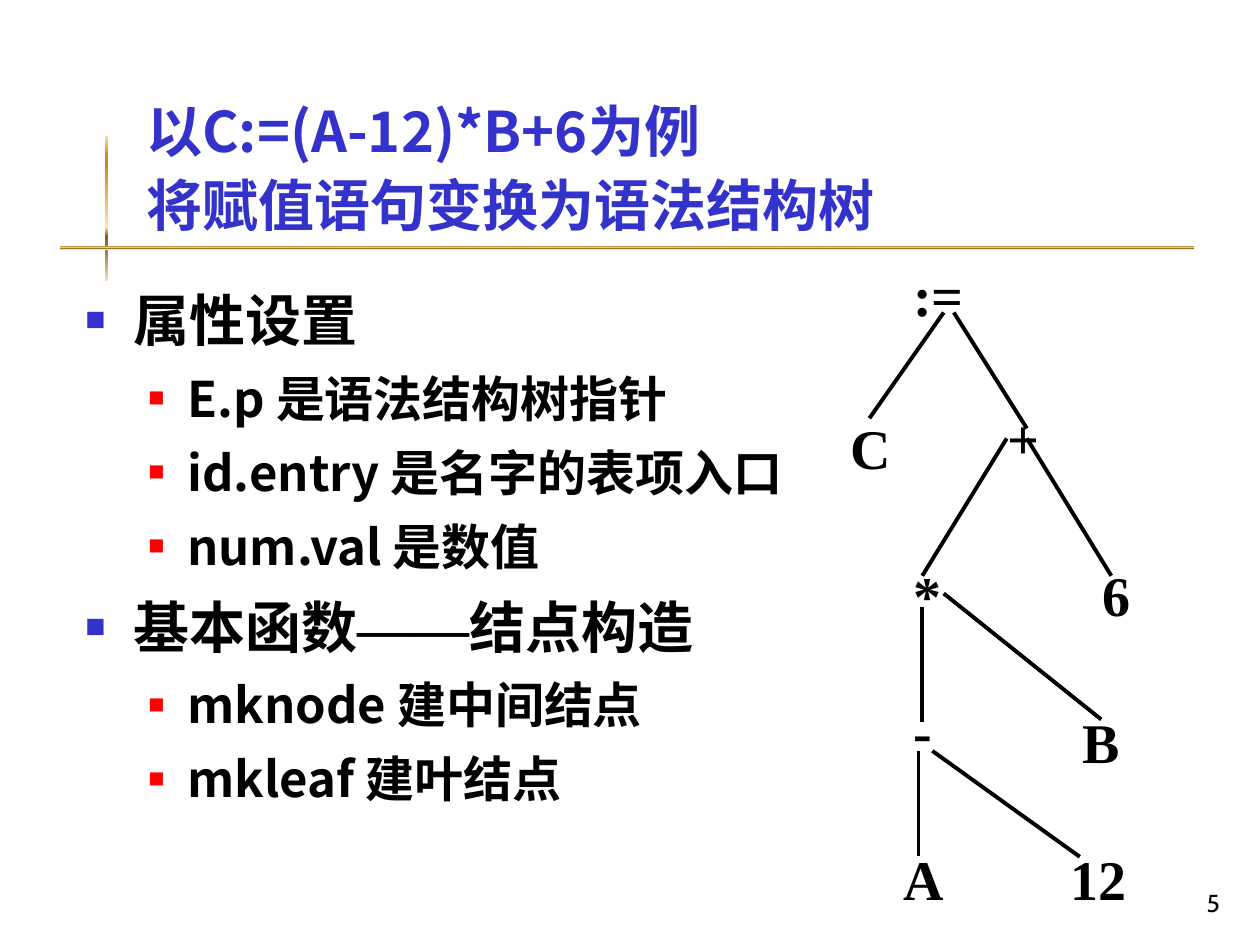
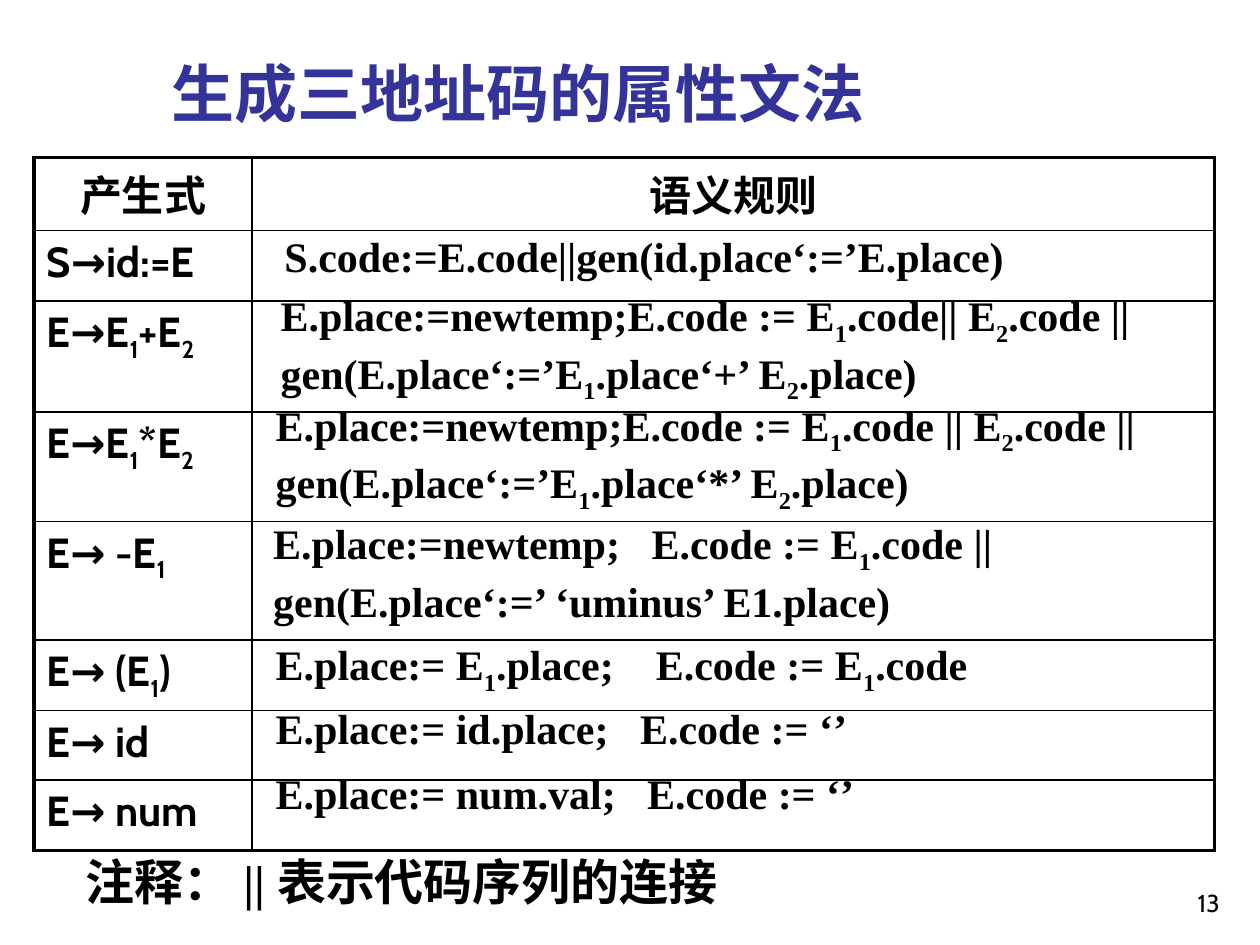
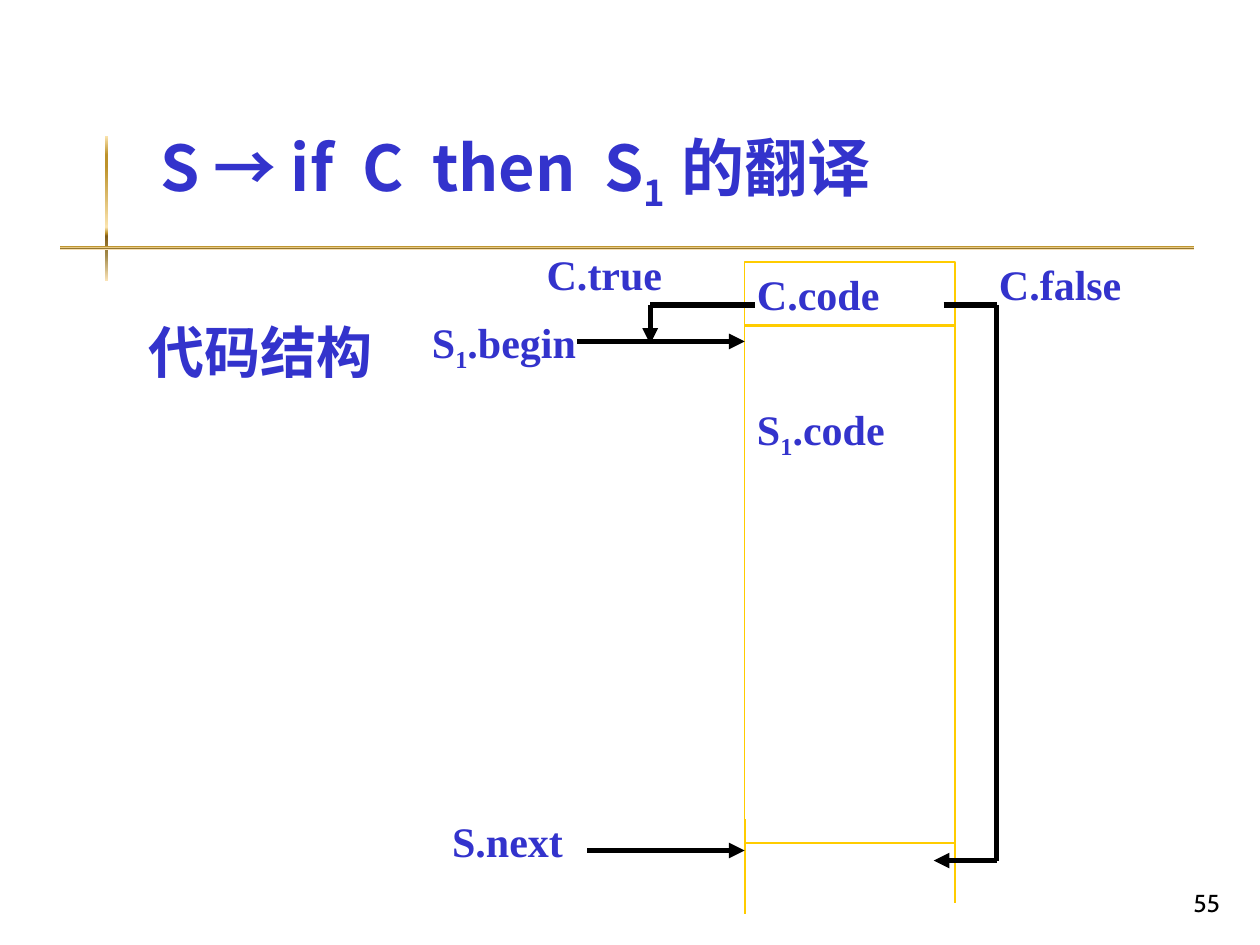
from lxml import etree
from pptx import Presentation
from pptx.dml.color import RGBColor
from pptx.enum.shapes import MSO_CONNECTOR, MSO_SHAPE
from pptx.enum.text import MSO_ANCHOR, PP_ALIGN
from pptx.oxml.ns import qn
from pptx.util import Inches, Pt

LEFT, CENTER, RIGHT = PP_ALIGN.LEFT, PP_ALIGN.CENTER, PP_ALIGN.RIGHT
TOP, BOTTOM = MSO_ANCHOR.TOP, MSO_ANCHOR.BOTTOM
RECTANGLE, STRAIGHT = MSO_SHAPE.RECTANGLE, MSO_CONNECTOR.STRAIGHT

BLACK, BLUE, NAVY, RED, YELLOW = "000000", "3333CC", "333399", "FF0000", "FFCC00"
SANS, SERIF, CABIN = "Noto Sans CJK JP", "Times New Roman", "Cabin"
GOLD_STOPS = [(0, "FBE4AE"), (13, "BD922A"), (21, "BD922A"), (63, "FBE4AE"),
              (67, "BD922A"), (69, "835E17"), (82, "A28949"), (100, "FAE3B7")]


def write(frame, lines, size, color, font, align=LEFT, alt_font=SERIF):
    """Fill frame with bold lines; _x_ is subscript and ~x~ takes alt_font."""
    for number, line in enumerate(lines):
        paragraph = frame.add_paragraph() if number else frame.paragraphs[0]
        paragraph.alignment = align
        style = paragraph.font
        style.size, style.name, style.bold = Pt(size), font, True
        style.color.rgb = RGBColor.from_string(color)
        for i, part in enumerate(line.split("~")):
            for j, piece in enumerate(part.split("_")):
                if not piece:
                    continue
                run = paragraph.add_run()
                run.text = piece
                if i % 2:
                    run.font.name = alt_font
                properties = run._r.get_or_add_rPr()
                etree.SubElement(properties, qn("a:ea"), typeface=SERIF if i % 2 else font)
                if j % 2:
                    properties.set("baseline", "-25000")


def draw_line(slide, start, end, color, width, arrow=False):
    line = slide.shapes.add_connector(STRAIGHT, *map(Inches, start + end))
    line.line.color.rgb = RGBColor.from_string(color)
    line.line.width = Pt(width)
    properties = line._element.spPr
    if arrow:
        etree.SubElement(properties.find(qn("a:ln")), qn("a:tailEnd"), type="triangle")
    etree.SubElement(properties, qn("a:effectLst"))


prs = Presentation()
prs.slide_width, prs.slide_height = Inches(10), Inches(7.5)

# Titles, gold rules and page numbers
pages = [
    (["以C:=(A-12)*B+6为例", "将赋值语句变换为语法结构树"], (1.06, 0.36, 6.9, 1.58), 32, BLUE, True, "5"),
    (["生成三地址码的属性文法"], (1.26, 0.23, 8.52, 0.85), 36, NAVY, False, "13"),
    (["S → if  C  then  S_1  _的翻译"], (1.17, 0.92, 8.42, 0.83), 36, BLUE, True, "55"),
]
for heading, place, size, color, ruled, page in pages:
    slide = prs.slides.add_slide(prs.slide_layouts[5])
    title = slide.shapes.title
    title.left, title.top, title.width, title.height = map(Inches, place)
    title.text_frame.vertical_anchor = BOTTOM
    write(title.text_frame, heading, size, color, SANS)
    if ruled:
        for place in [(0.83, 1.08, 0.03, 1.15), (0.48, 1.95, 9, 0.03)]:
            rule = slide.shapes.add_shape(RECTANGLE, *map(Inches, place))
            rule.shadow.inherit = False
            rule.line.fill.background()
            rule.fill.gradient()
            rule.fill.gradient_angle = 270
            stops = rule._element.spPr.find(qn("a:gradFill")).find(qn("a:gsLst"))
            for stop in list(stops):
                stops.remove(stop)
            for position, gold in GOLD_STOPS:
                stop = etree.SubElement(stops, qn("a:gs"), pos=str(position * 1000))
                etree.SubElement(stop, qn("a:srgbClr"), val=gold)
    footer = slide.shapes.add_textbox(Inches(7.7), Inches(6.83), Inches(2.08), Inches(0.5)).text_frame
    footer.word_wrap = True
    footer.vertical_anchor = BOTTOM
    write(footer, [page], 14, BLACK, CABIN, RIGHT)
    footer.paragraphs[0].font.bold = False

tree_slide, grammar_slide, flow_slide = prs.slides

# Slide 1: outline and syntax tree
for paragraph in tree_slide.shapes.title.text_frame.paragraphs:
    paragraph.line_spacing = Pt(42.5)
outline = tree_slide.shapes.add_textbox(Inches(0.58), Inches(2.17), Inches(6), Inches(4.5)).text_frame
outline.word_wrap = True
points = [(0, "属性设置"), (1, "E.p 是语法结构树指针"), (1, "id.entry 是名字的表项入口"),
          (1, "num.val 是数值"), (0, "基本函数~——~结点构造"), (1, "mknode 建中间结点"),
          (1, "mkleaf 建叶结点")]
write(outline, [text for _, text in points], 32, BLACK, SANS, alt_font="Arial")
levels = [(32, 0.38, 0.38, BLUE, 60), (28, 0.81, 0.31, RED, 55)]
for number, (paragraph, (level, _)) in enumerate(zip(outline.paragraphs, points)):
    size, margin, hanging, bullet_color, bullet_size = levels[level]
    paragraph.level = level
    paragraph.font.size = Pt(size)
    paragraph.line_spacing = Pt(size * 1.31)
    if number:
        paragraph.space_before = Pt(size * 0.2)
    properties = paragraph._p.get_or_add_pPr()
    properties.set("marL", str(Inches(margin)))
    properties.set("indent", str(-Inches(hanging)))
    bullet = [etree.Element(qn("a:buClr")),
              etree.Element(qn("a:buSzPct"), val=str(bullet_size * 1000)),
              etree.Element(qn("a:buFont"), typeface="Arial"),
              etree.Element(qn("a:buChar"), char="■")]
    etree.SubElement(bullet[0], qn("a:srgbClr"), val=bullet_color)
    for element in bullet:
        properties.find(qn("a:defRPr")).addprevious(element)

nodes = [(":=", 7.15, 2.02), ("C", 6.65, 3.23), ("+", 7.9, 3.15), ("*", 7.15, 4.4), ("6", 8.65, 4.4),
         ("-", 7.15, 5.48), ("B", 8.49, 5.57), ("A", 7.07, 6.65), ("12", 8.4, 6.65)]
for symbol, left, top in nodes:
    node = tree_slide.shapes.add_textbox(Inches(left), Inches(top), Inches(0.8), Inches(0.63)).text_frame
    node.word_wrap = True
    write(node, [symbol], 32, BLACK, SERIF)
branches = [((7.49, 2.48), (6.9, 3.32)), ((7.57, 2.48), (8.15, 3.4)),
            ((7.99, 3.48), (7.32, 4.57)), ((8.15, 3.48), (8.82, 4.57)),
            ((7.32, 4.82), (7.32, 5.73)), ((7.49, 4.71), (8.74, 5.71)),
            ((7.29, 5.96), (7.29, 6.79)), ((7.4, 5.96), (8.57, 6.8))]
for parent, child in branches:
    draw_line(tree_slide, parent, child, BLACK, 2.25)

# Slide 2: attribute grammar
productions = ["产生式", "S→id:=E", "E→E_1_+E_2_", "E→E_1_*E_2_", "E→ -E_1_", "E→ (E_1_)", "E→ id", "E→ num"]
row_heights = [0.58, 0.56, 0.88, 0.87, 0.94, 0.56, 0.55, 0.56]
frame = grammar_slide.shapes.add_table(len(productions), 2, Inches(0.27), Inches(1.25),
                                       Inches(9.37), Inches(sum(row_heights)))
grammar = frame.table
grammar.columns[0].width, grammar.columns[1].width = Inches(1.73), Inches(7.64)
last = len(productions) - 1
for r, (production, height) in enumerate(zip(productions, row_heights)):
    grammar.rows[r].height = Inches(height)
    for c, text in enumerate([production, "" if r else "语义规则"]):
        cell = grammar.cell(r, c)
        write(cell.text_frame, [text], 24, BLACK, CABIN, LEFT if r else CENTER)
        if r == 0:
            cell.margin_top, cell.margin_bottom = Inches(0.11), 0
        properties = cell._tc.get_or_add_tcPr()
        outer_sides = {"L": c == 0, "R": c == 1, "T": r == 0, "B": r == last}
        for side, outer in outer_sides.items():
            border = etree.SubElement(properties, qn("a:ln" + side), w=str(Pt(2.25 if outer else 1)))
            etree.SubElement(etree.SubElement(border, qn("a:solidFill")), qn("a:srgbClr"), val=BLACK)
        cell.fill.background()

rules = [
    (2.16, 1.78, ["S.code:=E.code||gen(id.place‘:=’E.place)"]),
    (2.13, 2.25, ["E.place:=newtemp;E.code := E_1_.code|| E_2_.code ||",
                  "gen(E.place‘:=’E_1_.place‘+’ E_2_.place)"]),
    (2.09, 3.12, ["E.place:=newtemp;E.code := E_1_.code || E_2_.code ||",
                  "gen(E.place‘:=’E_1_.place‘*’ E_2_.place)"]),
    (2.07, 4.06, ["E.place:=newtemp;   E.code := E_1_.code ||",
                  "gen(E.place‘:=’ ‘uminus’ E1.place)"]),
    (2.09, 5.02, ["E.place:= E_1_.place;    E.code := E_1_.code"]),
    (2.09, 5.53, ["E.place:= id.place;   E.code := ‘’"]),
    (2.09, 6.04, ["E.place:= num.val;   E.code := ‘’"]),
]
for left, top, lines in rules:
    rule = grammar_slide.shapes.add_textbox(Inches(left), Inches(top), Inches(7.4),
                                            Inches(0.09 + 0.41 * len(lines))).text_frame
    rule.word_wrap = True
    write(rule, lines, 24, BLACK, SERIF)
remark = grammar_slide.shapes.add_textbox(Inches(0.58), Inches(6.71), Inches(8.5), Inches(0.58)).text_frame
remark.word_wrap = True
write(remark, ["注释： ~|| ~表示代码序列的连接"], 28, BLACK, SANS)

# Slide 3: code layout and jumps
labels = [("代码结构", 1.08, 2.47, 1.98, 32, SANS), ("S_1_.begin", 3.33, 2.46, 1.36, 24, SERIF),
          ("C.true", 4.24, 1.92, 1.12, 24, SERIF), ("S.next", 3.49, 6.42, 1.08, 24, SERIF),
          ("C.false", 7.83, 2, 1.17, 24, SERIF)]
for text, left, top, width, size, font in labels:
    label = flow_slide.shapes.add_textbox(Inches(left), Inches(top), Inches(width), Inches(size / 50))
    write(label.text_frame, [text], size, BLUE, font)
for text, top, height, margin in [("C.code", 2.08, 0.51, 0.05), ("S_1_.code", 2.58, 4.11, 0.62)]:
    block = flow_slide.shapes.add_shape(RECTANGLE, Inches(5.91), Inches(top), Inches(1.67), Inches(height))
    block.shadow.inherit = False
    block.fill.background()
    block.line.color.rgb = RGBColor.from_string(YELLOW)
    block.line.width = Pt(1)
    block.text_frame.vertical_anchor = TOP
    block.text_frame.margin_top = Inches(margin)
    write(block.text_frame, [text], 24, BLUE, SERIF)
for start, end in [((7.58, 6.42), (7.58, 7.17)), ((5.91, 6.5), (5.91, 7.25))]:
    draw_line(flow_slide, start, end, YELLOW, 1)
jumps = [[(5.99, 2.42), (5.16, 2.42), (5.16, 2.73)],
         [(4.58, 2.71), (5.91, 2.71)],
         [(4.66, 6.75), (5.91, 6.75)],
         [(7.49, 2.42), (7.91, 2.42), (7.91, 6.83), (7.41, 6.83)]]
for jump in jumps:
    for start, end in zip(jump, jump[1:]):
        draw_line(flow_slide, start, end, BLACK, 3, arrow=end == jump[-1])

prs.save("out.pptx")
